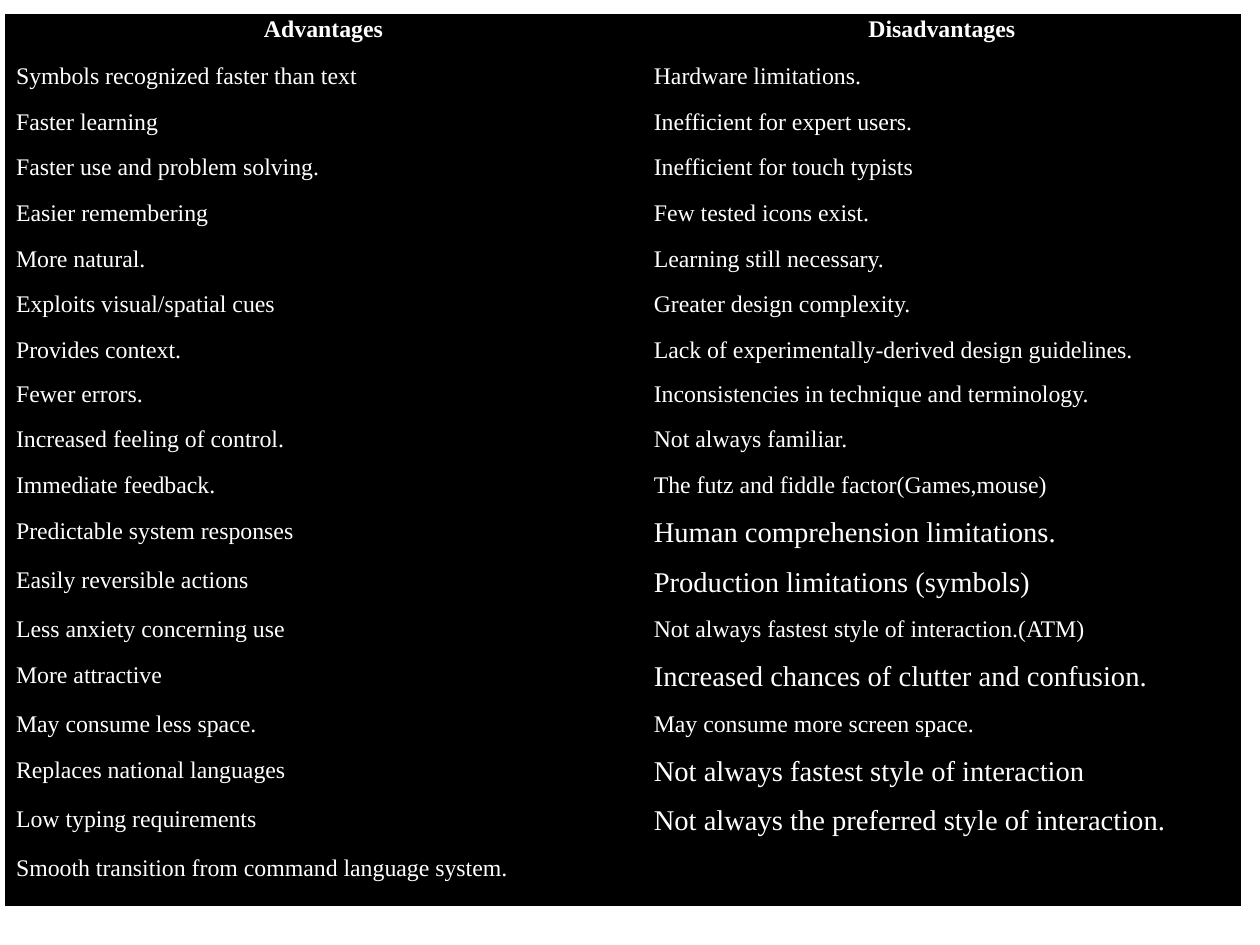
"""Builds a slide with a table of advantages and disadvantages."""
import pptx
import pptx.dml.color
import pptx.enum.text
import pptx.util

Inches = pptx.util.Inches
Pt = pptx.util.Pt
ALIGN = pptx.enum.text.PP_ALIGN
BLACK = pptx.dml.color.RGBColor(0, 0, 0)
WHITE = pptx.dml.color.RGBColor(255, 255, 255)
PLAIN = "{2D5ABB26-0587-4C30-8999-92F81FD0307C}"
SMALL, LARGE = 15, 18

COLS = [5.58, 5.24]
ROWS = [
    (0.41, "Advantages", "Disadvantages", SMALL),
    (0.4, "Symbols recognized faster than text", "Hardware limitations.", SMALL),
    (0.4, "Faster learning", "Inefficient for expert users.", SMALL),
    (0.4, "Faster use and problem solving.", "Inefficient for touch typists", SMALL),
    (0.4, "Easier remembering", "Few tested icons exist.", SMALL),
    (0.4, "More natural.", "Learning still necessary.", SMALL),
    (0.4, "Exploits visual/spatial cues", "Greater design complexity.", SMALL),
    (0.38, "Provides context.", "Lack of experimentally-derived design guidelines.", SMALL),
    (0.4, "Fewer errors.", "Inconsistencies in technique and terminology.", SMALL),
    (0.4, "Increased feeling of control.", "Not always familiar.", SMALL),
    (0.4, "Immediate feedback.", "The futz and fiddle factor(Games,mouse)", SMALL),
    (0.43, "Predictable system responses", "Human comprehension limitations.", LARGE),
    (0.43, "Easily reversible actions", "Production limitations (symbols)", LARGE),
    (0.4, "Less anxiety concerning use", "Not always fastest style of interaction.(ATM)", SMALL),
    (0.43, "More attractive", "Increased chances of clutter and confusion.", LARGE),
    (0.4, "May consume less space.", "May consume more screen space.", SMALL),
    (0.43, "Replaces national languages", "Not always fastest style of interaction", LARGE),
    (0.43, "Low typing requirements", "Not always the preferred style of interaction.", LARGE),
    (0.47, "Smooth transition from command language system.", "", SMALL),
]


class Deck:
    """Holds the text style and the current slide."""

    def __init__(self, width, height):
        self.prs = pptx.Presentation()
        self.prs.slide_width = Inches(width)
        self.prs.slide_height = Inches(height)
        self.slide = self.prs.slides.add_slide(self.prs.slide_layouts[6])
        self.style = {"name": "Times New Roman"}

    def cell(self, cell, text, size, head):
        """Fills one cell and sets its text."""
        cell.fill.solid()
        cell.fill.fore_color.rgb = BLACK
        if not text:
            return
        para = cell.text_frame.paragraphs[0]
        para.line_spacing = 0.86
        para.alignment = ALIGN.CENTER if head else ALIGN.LEFT
        run = para.add_run()
        run.text = text
        look = {**self.style, "size": Pt(size), "bold": head}
        for key, value in look.items():
            setattr(run.font, key, value)
        run.font.color.rgb = WHITE

    def table(self, left, top, cols, rows):
        """Adds a two-column table with a bold first row."""
        tall = sum(row[0] for row in rows)
        frame = self.slide.shapes.add_table(
            len(rows), len(cols), Inches(left), Inches(top),
            Inches(sum(cols)), Inches(tall))
        frame.element.xpath(".//a:tableStyleId")[0].text = PLAIN
        grid = frame.table
        grid.horz_banding = False
        for col, width in zip(grid.columns, cols):
            col.width = Inches(width)
        for num, (height, pro, con, size) in enumerate(rows):
            grid.rows[num].height = Inches(height)
            self.cell(grid.cell(num, 0), pro, SMALL, num == 0)
            self.cell(grid.cell(num, 1), con, size, num == 0)


def main():
    """Builds and saves the slide."""
    deck = Deck(28 / 2.54, 21 / 2.54)
    deck.table(0.04, 0.12, COLS, ROWS)
    deck.prs.save("out.pptx")


if __name__ == "__main__":
    main()
